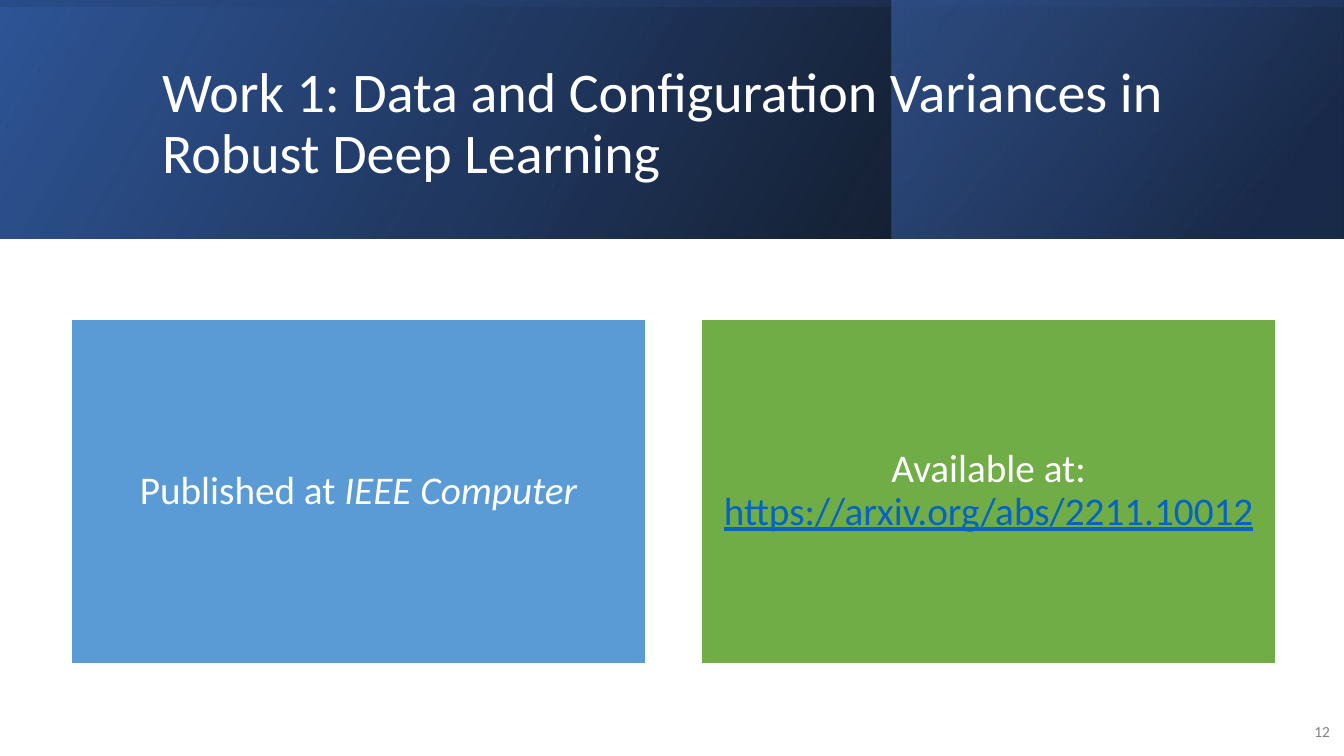
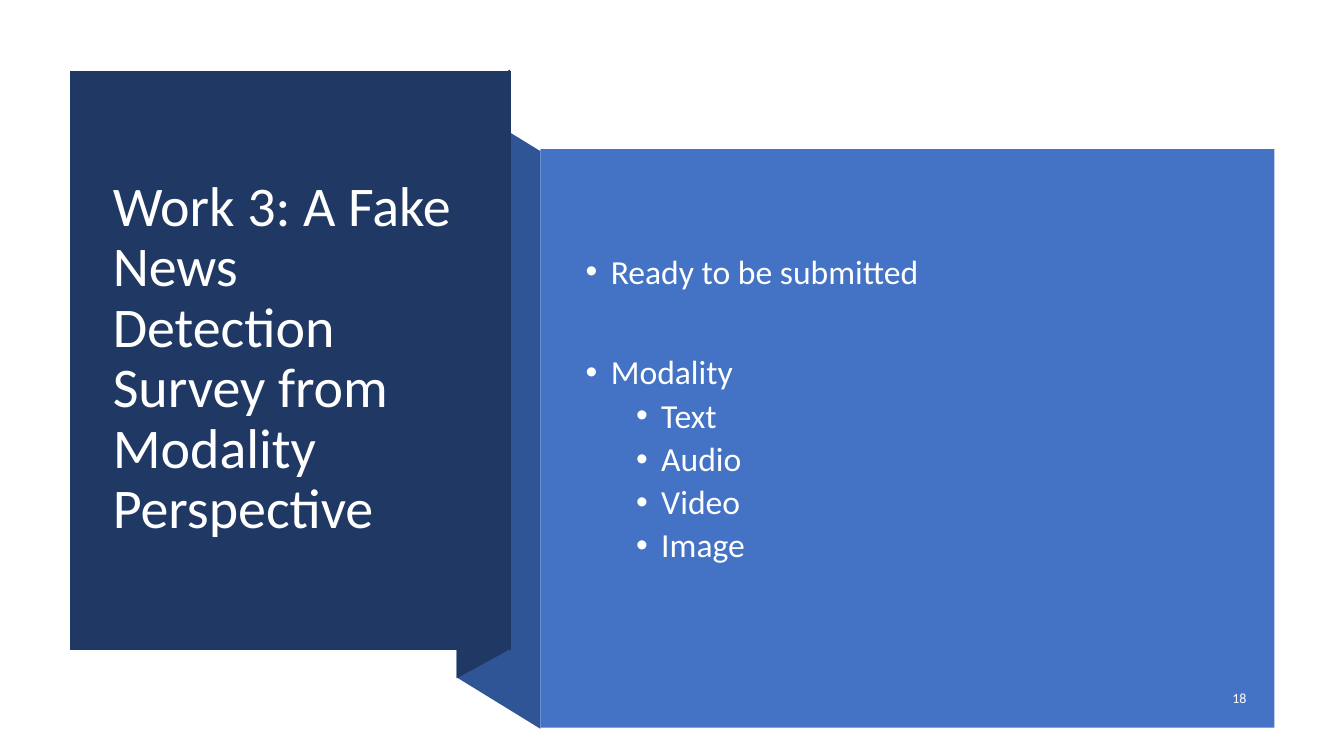
from lxml import etree
from pptx import Presentation
from pptx.dml.color import RGBColor
from pptx.enum.shapes import MSO_SHAPE
from pptx.enum.text import MSO_ANCHOR, PP_ALIGN
from pptx.oxml.ns import qn
from pptx.util import Inches, Pt

FONT = "Calibri"
WHITE, GRAY = "FFFFFF", "808080"
NAVY, DEEP_BLUE, BLUE = "203864", "2F5597", "4472C4"
LINK = "0563C1"

# Banner layers: box, rotation, gradient angle, stops (position %, colour, opacity %)
BANNER = [
    ((0, 0, 13.33, 2.37), 0, 330, [(0, "000000", 96), (100, DEEP_BLUE, 100)]),
    ((8.84, 0, 4.48, 2.37), 0, 320, [(19, NAVY, 68), (100, BLUE, 48)]),
    ((5.48, -5.48, 2.37, 13.33), 270, 350, [(23, DEEP_BLUE, 16), (99, "000000", 45)]),
]
WORK_1 = "Work 1: Data and Configuration Variances in Robust Deep Learning"
# Cards: fill, runs (text, italic, is link)
CARDS = [
    ("5B9BD5", [("Published at ", False, False), ("IEEE Computer", True, False)]),
    ("70AD47", [("Available at: ", False, False),
                ("https://arxiv.org/abs/2211.10012", False, True)]),
]
CARD_LEFT, CARD_TOP, CARD_W, CARD_H, CARD_STEP = 0.71, 3.17, 5.69, 3.41, 6.25

WORK_3 = "Work 3: A Fake News Detection Survey from Modality Perspective"
FOLDS = [
    (DEEP_BLUE, [(5.36, 7.23), (4.53, 6.72), (4.53, 0.99), (5.36, 1.5)]),
    (NAVY, [(5.06, 6.44), (4.53, 6.73), (4.53, 0.98), (5.06, 0.69)]),
    (NAVY, [(0.69, 0.7), (5.07, 0.7), (5.07, 6.45), (0.69, 6.45)]),
]
# Bullets: text, indent in inches, space before in points
BULLETS = [
    ("Ready to be submitted", 0.25, 0),
    ("Modality", 0.25, 46),
    ("Text", 0.75, 5),
    ("Audio", 0.75, 5),
    ("Video", 0.75, 5),
    ("Image", 0.75, 5),
]


def rgb(color):
    return RGBColor.from_string(color)


def style(font, size, color):
    font.name, font.size, font.color.rgb = FONT, Pt(size), rgb(color)


def finish(sp, fill, line=None):
    sp.shadow.inherit = False
    sp.fill.solid()
    sp.fill.fore_color.rgb = rgb(fill)
    if line:
        sp.line.color.rgb = rgb(line)
        sp.line.width = Pt(1)
    else:
        sp.line.fill.background()


def add_rect(slide, box, fill, line=None):
    sp = slide.shapes.add_shape(MSO_SHAPE.RECTANGLE, *map(Inches, box))
    finish(sp, fill, line)
    return sp


def set_gradient(sp, angle, stops):
    """Replace the solid fill by a linear gradient with see-through stops."""
    grad = etree.Element(qn("a:gradFill"), rotWithShape="1")
    gs_list = etree.SubElement(grad, qn("a:gsLst"))
    for pos, color, opacity in stops:
        gs = etree.SubElement(gs_list, qn("a:gs"), pos=str(pos * 1000))
        clr = etree.SubElement(gs, qn("a:srgbClr"), val=color)
        etree.SubElement(clr, qn("a:alpha"), val=str(opacity * 1000))
    etree.SubElement(grad, qn("a:lin"), ang=str(angle * 60000), scaled="0")
    spPr = sp.element.spPr
    spPr.replace(spPr.find(qn("a:solidFill")), grad)


def add_text_box(slide, box):
    tf = slide.shapes.add_textbox(*map(Inches, box)).text_frame
    tf.word_wrap = True
    tf.vertical_anchor = MSO_ANCHOR.MIDDLE
    return tf


def add_title(slide, box, text):
    p = add_text_box(slide, box).paragraphs[0]
    p.text = text
    p.line_spacing = 0.9
    style(p.runs[0].font, 40, WHITE)


def add_number(slide, box, number, size, color):
    p = add_text_box(slide, box).paragraphs[0]
    p.text = str(number)
    p.alignment = PP_ALIGN.RIGHT
    p.space_after = Pt(6)
    style(p.runs[0].font, size, color)


def add_card(slide, box, fill, runs):
    tf = add_rect(slide, box, fill, WHITE).text_frame
    tf.word_wrap = True
    tf.vertical_anchor = MSO_ANCHOR.MIDDLE
    tf.margin_left = tf.margin_right = tf.margin_top = tf.margin_bottom = Inches(0.12)
    p = tf.paragraphs[0]
    p.alignment = PP_ALIGN.CENTER
    p.line_spacing = 0.9
    for text, italic, is_link in runs:
        r = p.add_run()
        r.text = text
        style(r.font, 28, LINK if is_link else WHITE)
        r.font.italic, r.font.underline = italic, is_link


def add_bullets(slide, box, bullets):
    tf = add_text_box(slide, box)
    tf.margin_bottom = Inches(0.41)
    for i, (text, indent, before) in enumerate(bullets):
        p = tf.add_paragraph() if i else tf.paragraphs[0]
        p.text = text
        p.line_spacing = 0.9
        p.space_before = Pt(before)
        pPr = p._p.get_or_add_pPr()
        pPr.set("marL", str(Inches(indent)))
        pPr.set("indent", str(-Inches(0.25)))
        etree.SubElement(pPr, qn("a:buFont"), typeface="Arial")
        etree.SubElement(pPr, qn("a:buChar"), char="•")
        style(p.runs[0].font, 24, "FEFFFF")


def add_fold(slide, color, points):
    start, *rest = [(Inches(x), Inches(y)) for x, y in points]
    builder = slide.shapes.build_freeform(*start)
    builder.add_line_segments(rest, close=True)
    finish(builder.convert_to_shape(), color)


def build_work_1(slide):
    for box, rotation, angle, stops in BANNER:
        sp = add_rect(slide, box, NAVY)
        sp.rotation = rotation
        sp.element.spPr.xfrm.set("flipH", "1")
        set_gradient(sp, angle, stops)
    add_title(slide, (1.51, 0.38, 10.63, 1.72), WORK_1)
    add_number(slide, (12.8, 7.06, 0.49, 0.4), 12, 11, GRAY)
    for i, (fill, runs) in enumerate(CARDS):
        add_card(slide, (CARD_LEFT + i * CARD_STEP, CARD_TOP, CARD_W, CARD_H), fill, runs)


def build_work_3(slide):
    for color, points in FOLDS:
        add_fold(slide, color, points)
    add_title(slide, (1.02, 1.07, 3.71, 4.99), WORK_3)
    add_rect(slide, (5.36, 1.48, 7.28, 5.74), BLUE)
    add_bullets(slide, (5.71, 1.88, 6.51, 4.74), BULLETS)
    add_number(slide, (11.71, 6.75, 0.75, 0.35), 18, 10, WHITE)


def main():
    prs = Presentation()
    prs.slide_width, prs.slide_height = Inches(13.33), Inches(7.5)
    for build in (build_work_1, build_work_3):
        build(prs.slides.add_slide(prs.slide_layouts[6]))
    prs.save("out.pptx")


if __name__ == "__main__":
    main()
